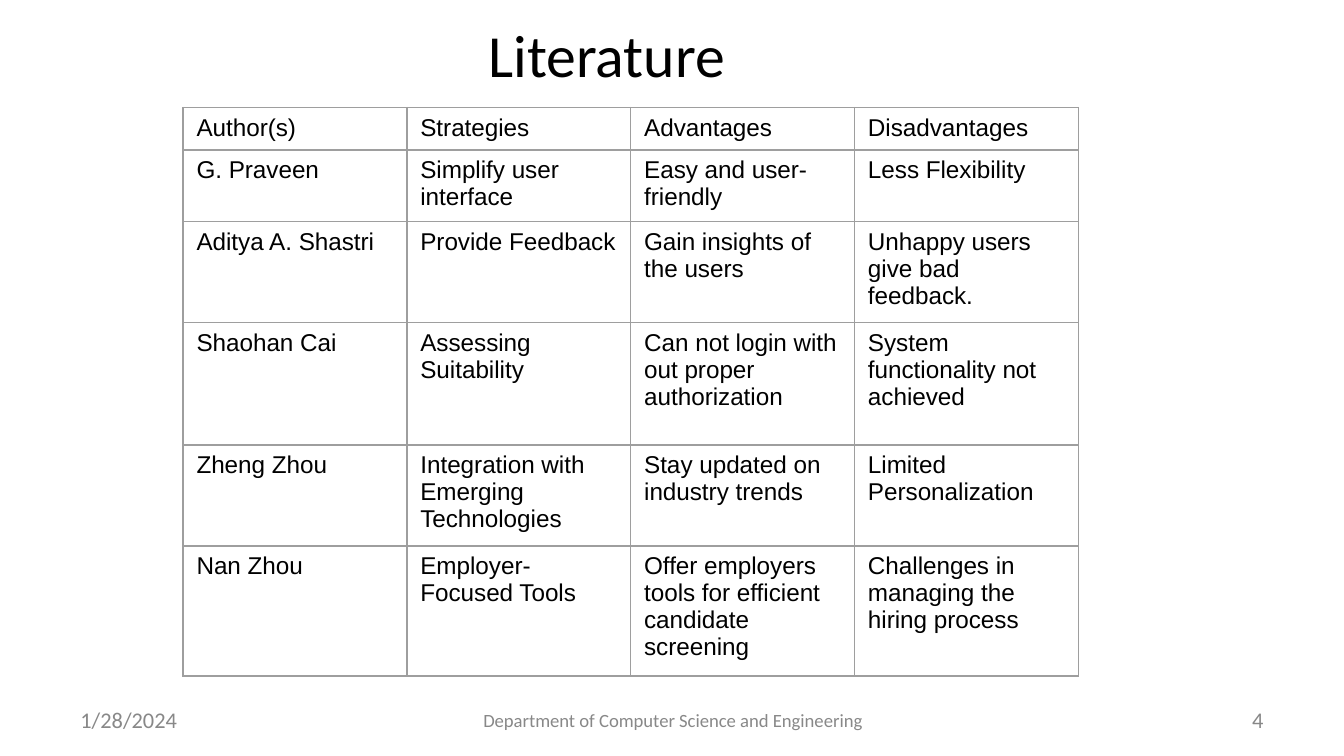
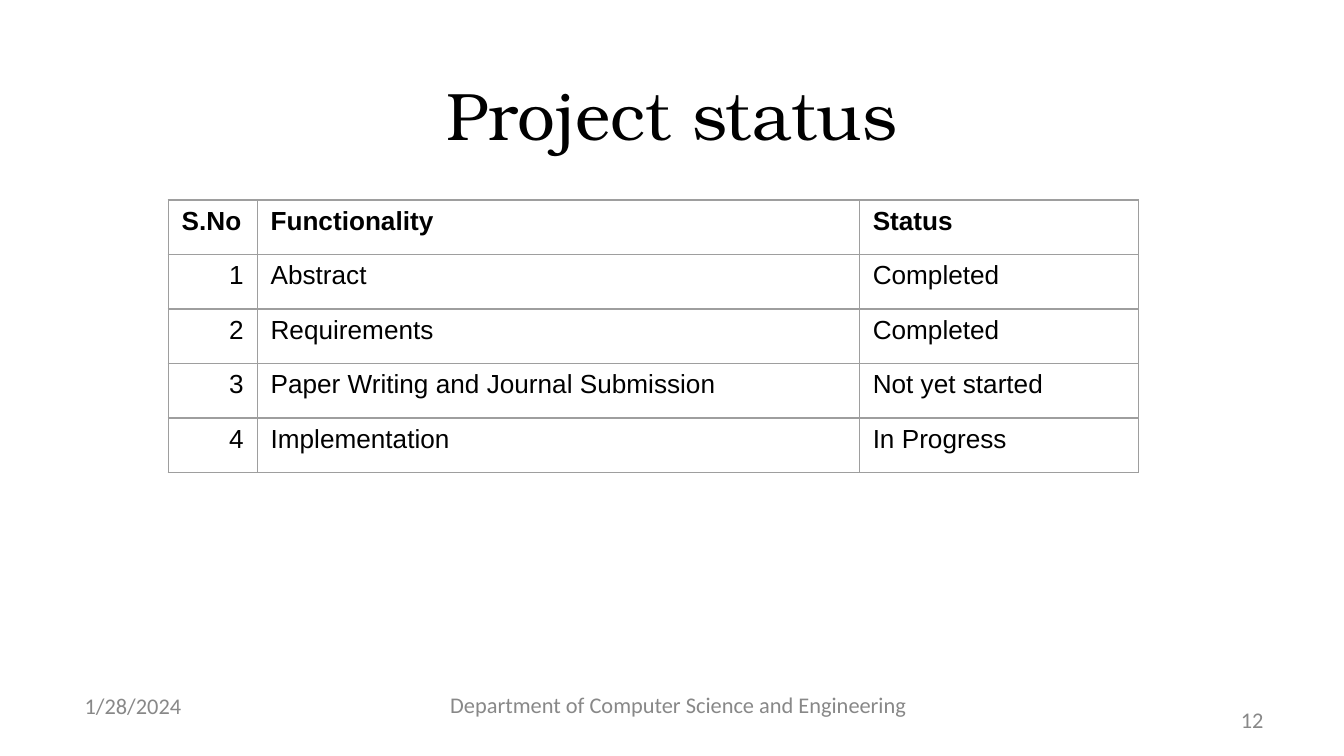
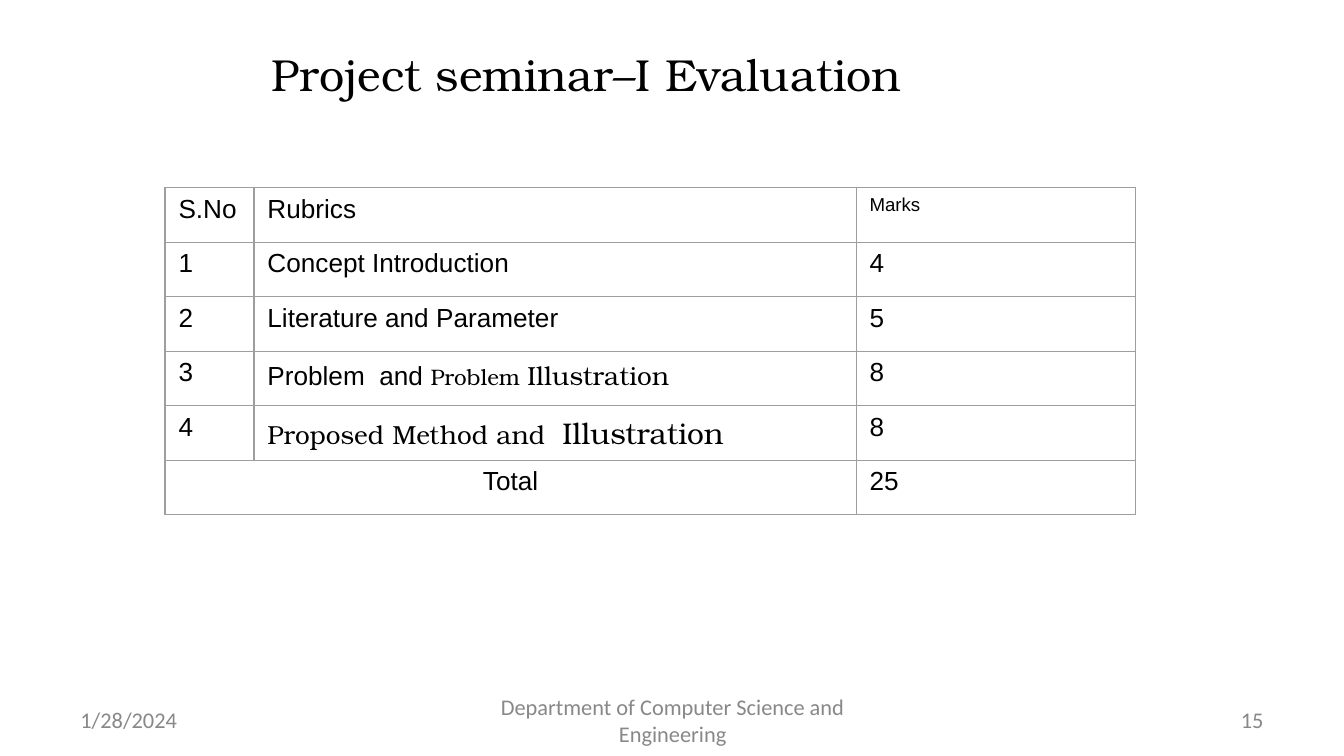
from lxml import etree
from pptx import Presentation
from pptx.dml.color import RGBColor
from pptx.enum import text as t
from pptx.oxml import ns
from pptx.util import Cm, Pt

BLACK = RGBColor(0x00, 0x00, 0x00)
GREY = RGBColor(0x88, 0x88, 0x88)
BORDER = RGBColor(0x9E, 0x9E, 0x9E)
BODY_FONT, FOOTER_FONT, SERIF_FONT = "Arial", "Calibri", "TeX Gyre Bonum"
LEFT, CENTER, RIGHT = t.PP_ALIGN.LEFT, t.PP_ALIGN.CENTER, t.PP_ALIGN.RIGHT

DATE = "1/28/2024"
DEPARTMENT = "Department of Computer Science and Engineering"
FOOTER_TOP, FOOTER_HEIGHT = 13.23, 0.76
TITLE_HEIGHT = 1.75
LIST_COLUMNS = [1.68, 11.38, 5.28]
LIST_ROW = 1.03

LITERATURE = [
    ["Author(s)", "Strategies", "Advantages", "Disadvantages"],
    ["G. Praveen", "Simplify user interface", "Easy and user-friendly",
     "Less Flexibility"],
    ["Aditya A. Shastri", "Provide Feedback", "Gain insights of the users",
     "Unhappy users give bad feedback."],
    ["Shaohan Cai", "Assessing Suitability",
     "Can not login with out proper authorization",
     "System functionality not achieved"],
    ["Zheng Zhou", "Integration with Emerging Technologies",
     "Stay updated on industry trends", "Limited Personalization"],
    ["Nan Zhou", "Employer-Focused Tools",
     "Offer employers tools for efficient candidate screening",
     "Challenges in managing the hiring process"],
]
STATUS = [
    ["S.No", "Functionality", "Status"],
    ["1", "Abstract", "Completed"],
    ["2", "Requirements", "Completed"],
    ["3", "Paper Writing and Journal Submission", "Not yet started"],
    ["4", "Implementation", "In Progress"],
]
RUBRICS = [
    ["S.No", "Rubrics", "Marks"],
    ["1", "Concept Introduction", "4"],
    ["2", "Literature and Parameter", "5"],
    ["3", "", "8"],
    ["4", "", "8"],
    ["Total", "", "25"],
]
# Rubrics set in several fonts: (text, size, font)
MIXED_RUBRICS = {
    3: [("Problem  and ", 14, BODY_FONT), ("Problem ", 12, SERIF_FONT),
        ("Illustration", 14, SERIF_FONT)],
    4: [("Proposed Method and  ", 14, SERIF_FONT),
        ("Illustration", 16, SERIF_FONT)],
}


def style_span(span, size, font, color=BLACK, bold=False):
    span.font.size = Pt(size)
    span.font.name = font
    span.font.color.rgb = color
    span.font.bold = bold


def style_frame(frame, size, font, color=BLACK, align=LEFT, bold=False):
    for para in frame.paragraphs:
        para.alignment = align
        for span in para.runs:
            style_span(span, size, font, color, bold)


def add_text(page, words, left, top, width, height, size, font, color, align):
    box = page.shapes.add_textbox(Cm(left), Cm(top), Cm(width), Cm(height))
    frame = box.text_frame
    frame.word_wrap = True
    frame.vertical_anchor = t.MSO_ANCHOR.MIDDLE
    frame.text = words
    style_frame(frame, size, font, color, align)


def add_title(page, words, left, top, width, size, font):
    add_text(page, words, left, top, width, TITLE_HEIGHT, size, font, BLACK, CENTER)


def add_footer(page, number, date_at=(1.27, FOOTER_TOP),
               department_at=(8.69, FOOTER_TOP, 8.05), department_size=12):
    def footer_text(words, left, top, width, size, align):
        add_text(page, words, left, top, width, FOOTER_HEIGHT, size,
                 FOOTER_FONT, GREY, align)

    department_left, department_top, department_width = department_at
    footer_text(str(number), 18.21, FOOTER_TOP, 5.92, 12, RIGHT)
    footer_text(DATE, *date_at, 5.92, 12, LEFT)
    footer_text(DEPARTMENT, department_left, department_top, department_width,
                department_size, CENTER)


def add_borders(cell):
    properties = cell._tc.get_or_add_tcPr()
    for position, side in enumerate(("lnL", "lnR", "lnT", "lnB")):
        line = etree.Element(ns.qn(f"a:{side}"), w=str(Pt(0.75)))
        fill = etree.SubElement(line, ns.qn("a:solidFill"))
        etree.SubElement(fill, ns.qn("a:srgbClr"), val=str(BORDER))
        properties.insert(position, line)


def add_grid(page, rows, left, top, widths, heights, size):
    frame = page.shapes.add_table(len(rows), len(widths), Cm(left), Cm(top),
                                  Cm(sum(widths)), Cm(sum(heights)))
    table = frame.table
    table.first_row = table.horz_banding = False
    for column, width in zip(table.columns, widths):
        column.width = Cm(width)
    for row, height, words in zip(table.rows, heights, rows):
        row.height = Cm(height)
        for cell, word in zip(row.cells, words):
            cell.text = word
            style_frame(cell.text_frame, size, BODY_FONT)
            cell.fill.background()
            add_borders(cell)
    return table


def add_list(page, rows, left, top):
    return add_grid(page, rows, left, top, LIST_COLUMNS,
                    [LIST_ROW] * len(rows), 14)


def build_literature(page):
    add_title(page, "Literature ", 3.1, 0.13, 16.99, 32, FOOTER_FONT)
    add_grid(page, LITERATURE, 3.46, 2.03, [4.23] * 4,
             [0.77, 1.28, 1.8, 2.31, 1.8, 2.31], 13)
    add_footer(page, 4, department_size=10)


def build_status(page):
    add_title(page, "Project status", 0, 1.27, 25.4, 36, SERIF_FONT)
    table = add_list(page, STATUS, 3.18, 3.78)
    for cell in table.rows[0].cells:
        style_frame(cell.text_frame, 14, BODY_FONT, bold=True)
    for row in range(1, len(STATUS)):
        table.cell(row, 0).text_frame.paragraphs[0].alignment = RIGHT
    add_footer(page, 12, date_at=(1.35, 12.95), department_at=(8.15, 12.93, 9.35))


def build_evaluation(page):
    add_title(page, "Project seminar–I Evaluation", 2.59, 0.51, 16.99, 24, SERIF_FONT)
    table = add_list(page, RUBRICS, 3.12, 3.55)
    style_frame(table.cell(0, 2).text_frame, 10, BODY_FONT)
    for row, parts in MIXED_RUBRICS.items():
        para = table.cell(row, 1).text_frame.paragraphs[0]
        for words, size, font in parts:
            span = para.add_run()
            span.text = words
            style_span(span, size, font)
    # Total row
    total = table.cell(len(RUBRICS) - 1, 0)
    total.merge(table.cell(len(RUBRICS) - 1, 1))
    total.text_frame.paragraphs[0].alignment = CENTER
    add_footer(page, 15)


def main():
    deck = Presentation()
    deck.slide_width, deck.slide_height = Cm(25.4), Cm(14.29)
    for build in (build_literature, build_status, build_evaluation):
        build(deck.slides.add_slide(deck.slide_layouts[6]))
    deck.save("out.pptx")


if __name__ == "__main__":
    main()
